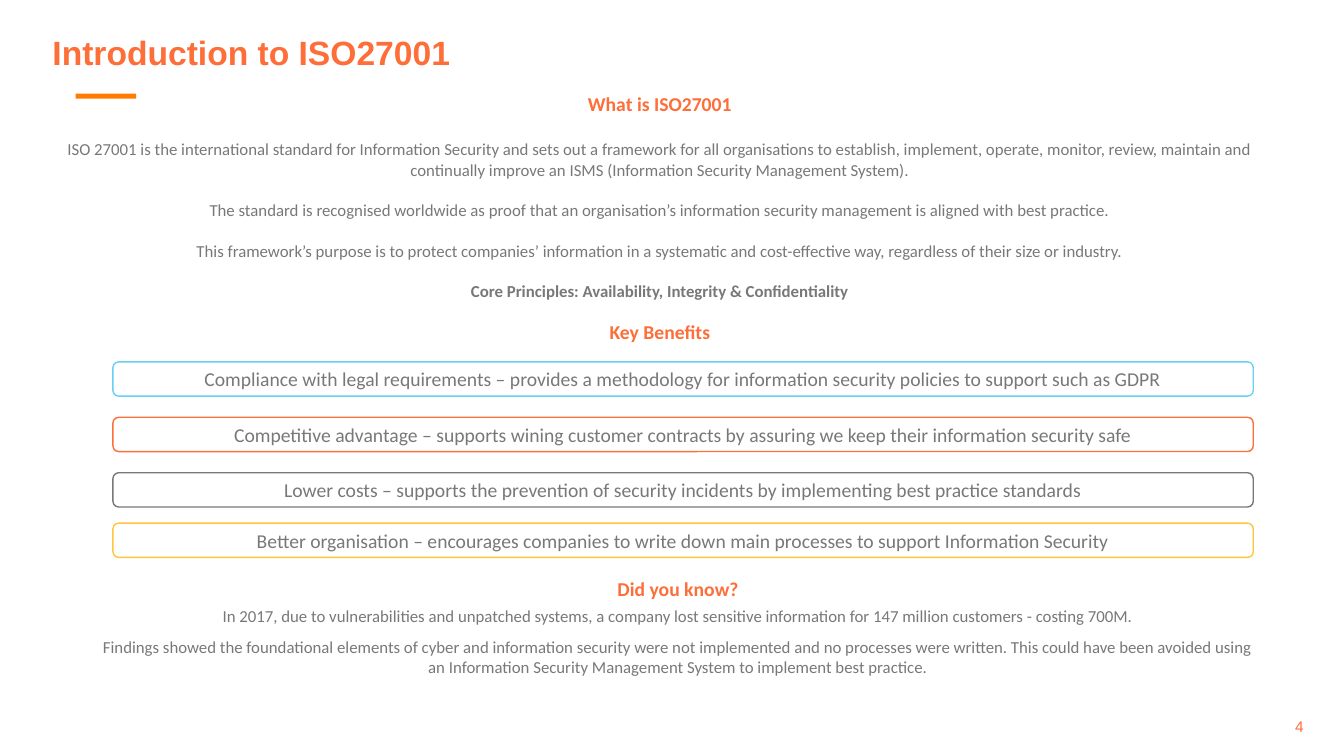
from lxml.etree import SubElement
from pptx import Presentation
from pptx.dml.color import RGBColor
from pptx.enum.shapes import MSO_SHAPE
from pptx.enum.text import MSO_ANCHOR, MSO_AUTO_SIZE, PP_ALIGN
from pptx.oxml.ns import qn
from pptx.util import Inches, Pt

COLORS = {"orange": "FD6E39", "accent": "FF7C00", "grey": "787878",
          "blue": "69CFF6", "yellow": "FFC53D", "white": "FFFFFF"}
HEADING = {"size": Pt(14), "bold": True, "color": "orange"}
BODY = {"size": Pt(12), "color": "grey"}
BENEFIT = {"size": Pt(14), "color": "grey"}
TITLE = {"size": Pt(24), "bold": True, "name": "Arial", "color": "orange"}
NUMBER = {"size": Pt(11), "name": "Arial", "color": "orange"}


class SlideBuilder:
    def __init__(self, slide):
        self.s = slide
        self.font = {"name": "Calibri", "bold": False}

    def place(self, sp, box):
        for name, value in zip(("left", "top", "width", "height"), box):
            setattr(sp, name, Inches(value))

    def fill_text(self, sp, paragraphs, anchor=MSO_ANCHOR.TOP, align=PP_ALIGN.CENTER):
        """Each paragraph is (text, font format, paragraph format)."""
        tf = sp.text_frame
        frame = {"word_wrap": True, "auto_size": MSO_AUTO_SIZE.NONE,
                 "vertical_anchor": anchor}
        for name, value in frame.items():
            setattr(tf, name, value)
        for i, (text, font, spacing) in enumerate(paragraphs):
            p = tf.paragraphs[0] if i == 0 else tf.add_paragraph()
            layout = {"alignment": align, "space_before": Pt(0),
                      "space_after": Pt(0), "line_spacing": 1.0, **spacing}
            for name, value in layout.items():
                setattr(p, name, value)
            r = p.add_run()
            r.text = text
            style = {**self.font, **font}
            r.font.color.rgb = RGBColor.from_string(COLORS[style.pop("color")])
            for name, value in style.items():
                setattr(r.font, name, value)

    def title(self, text, box):
        sp = self.s.shapes.title
        self.place(sp, box)
        self.fill_text(sp, [(text, TITLE, {"line_spacing": 0.9})],
                       MSO_ANCHOR.BOTTOM, PP_ALIGN.LEFT)

    def body(self, paragraphs, box):
        sp = self.s.placeholders[1]
        self.place(sp, box)
        self.fill_text(sp, paragraphs)
        for p in sp.text_frame.paragraphs:
            pPr = p._p.get_or_add_pPr()
            pPr.set("marL", "0")
            pPr.set("indent", "0")
            SubElement(pPr, qn("a:buNone"))

    def text(self, paragraphs, box, **options):
        sp = self.s.shapes.add_textbox(*map(Inches, box))
        self.fill_text(sp, paragraphs, **options)

    def shape(self, kind, box, fill, line=None):
        sp = self.s.shapes.add_shape(kind, *map(Inches, box))
        sp.shadow.inherit = False
        sp.fill.solid()
        sp.fill.fore_color.rgb = RGBColor.from_string(COLORS[fill])
        if line:
            sp.line.color.rgb = RGBColor.from_string(COLORS[line])
            sp.line.width = Pt(1)
        else:
            sp.line.fill.background()
        return sp

    def benefit(self, text, top, line):
        sp = self.shape(MSO_SHAPE.ROUNDED_RECTANGLE, (1.12, top, 11.31, 0.34),
                        "white", line)
        self.fill_text(sp, [(text, BENEFIT, {})], MSO_ANCHOR.MIDDLE)


def main():
    prs = Presentation()
    prs.slide_width, prs.slide_height = Inches(13.33), Inches(7.5)
    b = SlideBuilder(prs.slides.add_slide(prs.slide_layouts[1]))

    # Title, accent bar and slide number
    b.title("Introduction to ISO27001", (0.42, 0.27, 7.94, 0.5))
    b.shape(MSO_SHAPE.RECTANGLE, (0.75, 0.93, 0.6, 0.05), "accent")
    b.text([("4", NUMBER, {})], (12.19, 7.01, 0.84, 0.4),
           anchor=MSO_ANCHOR.MIDDLE, align=PP_ALIGN.RIGHT)

    # Explanation of the standard
    gap = {"space_before": Pt(14.6)}
    b.body([
        ("What is ISO27001", HEADING, {}),
        ("ISO 27001 is the international standard for Information Security and sets out "
         "a framework for all organisations to establish, implement, operate, monitor, "
         "review, maintain and continually improve an ISMS (Information Security "
         "Management System).", BODY, {"space_before": Pt(17)}),
        ("The standard is recognised worldwide as proof that an organisation’s "
         "information security management is aligned with best practice.", BODY, gap),
        ("This framework’s purpose is to protect companies’ information in a systematic "
         "and cost-effective way, regardless of their size or industry.", BODY, gap),
        ("Core Principles: Availability, Integrity & Confidentiality",
         {**BODY, "bold": True}, gap),
    ], (0.24, 0.86, 12.61, 2.19))

    # Key benefits
    b.text([("Key Benefits", HEADING, {})], (0.24, 3.12, 12.61, 0.61))
    benefits = [
        (3.59, "blue", "Compliance with legal requirements – provides a methodology for "
                       "information security policies to support such as GDPR"),
        (4.14, "orange", "Competitive advantage – supports wining customer contracts by "
                         "assuring we keep their information security safe"),
        (4.69, "grey", "Lower costs – supports the prevention of security incidents by "
                       "implementing best practice standards"),
        (5.19, "yellow", "Better organisation – encourages companies to write down main "
                         "processes to support Information Security"),
    ]
    for top, line, text in benefits:
        b.benefit(text, top, line)

    # Closing fact
    around = {"space_before": Pt(4), "space_after": Pt(4)}
    b.text([
        ("Did you know?", HEADING, {}),
        ("In 2017, due to vulnerabilities and unpatched systems, a company lost "
         "sensitive information for 147 million customers - costing 700M.", BODY, around),
        ("Findings showed the foundational elements of cyber and information security "
         "were not implemented and no processes were written. This could have been "
         "avoided using an Information Security Management System to implement best "
         "practice.", BODY, around),
    ], (0.84, 5.67, 11.77, 1.47))

    prs.save("out.pptx")


if __name__ == "__main__":
    main()
